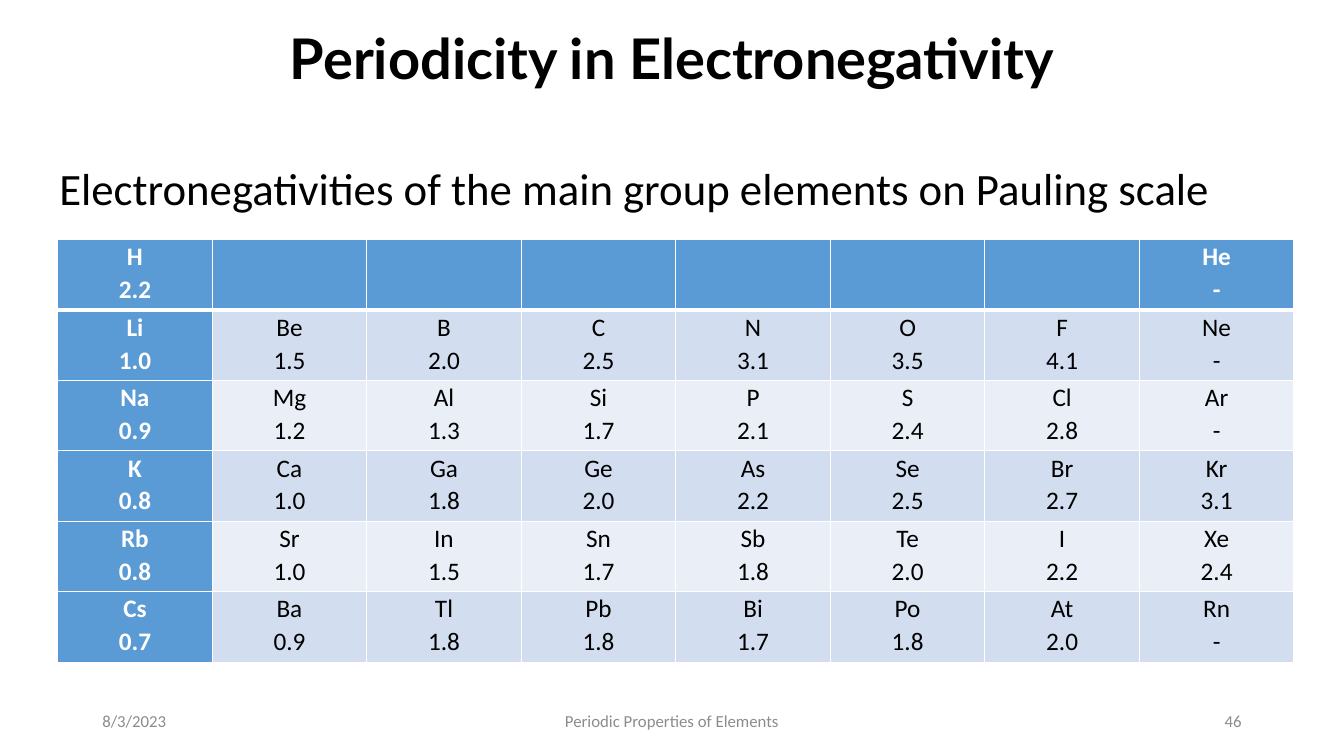
from lxml import etree
from pptx import Presentation
from pptx.dml.color import RGBColor
from pptx.enum import text as t
from pptx.oxml import ns
from pptx.util import Pt


def color(hex_value):
    return RGBColor.from_string(hex_value)


def write(frame, content, size=18, ink="000000", bold=False, font="Calibri",
          align=t.PP_ALIGN.CENTER, spacing=1.0):
    frame.word_wrap = True
    for i, line in enumerate(content.split("\n")):
        paragraph = frame.paragraphs[0] if i == 0 else frame.add_paragraph()
        paragraph.alignment = align
        paragraph.line_spacing = spacing
        run = paragraph.add_run()
        run.text = line
        run.font.size = Pt(size)
        run.font.name = font
        run.font.bold = bold
        run.font.color.rgb = color(ink)


deck = Presentation()
deck.slide_width, deck.slide_height = Pt(960), Pt(540)
slide = deck.slides.add_slide(deck.slide_layouts[6])

# Title, subtitle and footer
LEFT, CENTER, RIGHT = t.PP_ALIGN.LEFT, t.PP_ALIGN.CENTER, t.PP_ALIGN.RIGHT
MIDDLE, TOP = t.MSO_ANCHOR.MIDDLE, t.MSO_ANCHOR.TOP
footer = dict(size=12, ink="8C8C8C")
for content, box, anchor, look in [
    ("Periodicity in Electronegativity", (66, 13.7, 828, 54.7), MIDDLE,
     dict(size=40, bold=True, font="Lato")),
    ("Electronegativities of the main group elements on Pauling scale",
     (35.3, 72.7, 889.2, 74.2), TOP,
     dict(size=32, align=t.PP_ALIGN.JUSTIFY, spacing=2.0)),
    ("8/3/2023", (66, 500.5, 216, 28.8), MIDDLE, dict(footer, align=LEFT)),
    ("Periodic Properties of Elements", (318, 500.5, 324, 28.8), MIDDLE,
     dict(footer, align=CENTER)),
    ("46", (678, 500.5, 216, 28.8), MIDDLE, dict(footer, align=RIGHT)),
]:
    frame = slide.shapes.add_textbox(*map(Pt, box)).text_frame
    frame.vertical_anchor = anchor
    write(frame, content, **look)

# Element symbols with their electronegativities, one period per row
periods = [
    ["H 2.2", "", "", "", "", "", "", "He -"],
    ["Li 1.0", "Be 1.5", "B 2.0", "C 2.5", "N 3.1", "O 3.5", "F 4.1", "Ne -"],
    ["Na 0.9", "Mg 1.2", "Al 1.3", "Si 1.7", "P 2.1", "S 2.4", "Cl 2.8", "Ar -"],
    ["K 0.8", "Ca 1.0", "Ga 1.8", "Ge 2.0", "As 2.2", "Se 2.5", "Br 2.7", "Kr 3.1"],
    ["Rb 0.8", "Sr 1.0", "In 1.5", "Sn 1.7", "Sb 1.8", "Te 2.0", "I 2.2", "Xe 2.4"],
    ["Cs 0.7", "Ba 0.9", "Tl 1.8", "Pb 1.8", "Bi 1.7", "Po 1.8", "At 2.0", "Rn -"],
]
elements = slide.shapes.add_table(
    len(periods), len(periods[0]), Pt(41.2), Pt(171.2), Pt(883.2), Pt(301.8)).table
for column in elements.columns:
    column.width = Pt(110.4)

for r, period in enumerate(periods):
    elements.rows[r].height = Pt(50.3)
    for c, element in enumerate(period):
        cell = elements.cell(r, c)
        heading = r == 0 or c == 0

        # White borders, thicker under the first row
        for side in "LRTB":
            thick = (r, side) in [(0, "B"), (1, "T")]
            border = etree.SubElement(cell._tc.get_or_add_tcPr(), ns.qn(f"a:ln{side}"),
                                      w=str(Pt(3 if thick else 1)))
            paint = etree.SubElement(border, ns.qn("a:solidFill"))
            etree.SubElement(paint, ns.qn("a:srgbClr"), val="FFFFFF")

        # Banded fill and text
        cell.fill.solid()
        cell.fill.fore_color.rgb = color(
            "5B9BD5" if heading else "D2DEEF" if r % 2 else "EAEFF7")
        if element:
            cell.margin_left = cell.margin_right = Pt(5)
            cell.margin_top = cell.margin_bottom = Pt(0)
            write(cell.text_frame, element.replace(" ", "\n"), bold=heading,
                  ink="FFFFFF" if heading else "000000", spacing=1.07)

deck.save("out.pptx")
